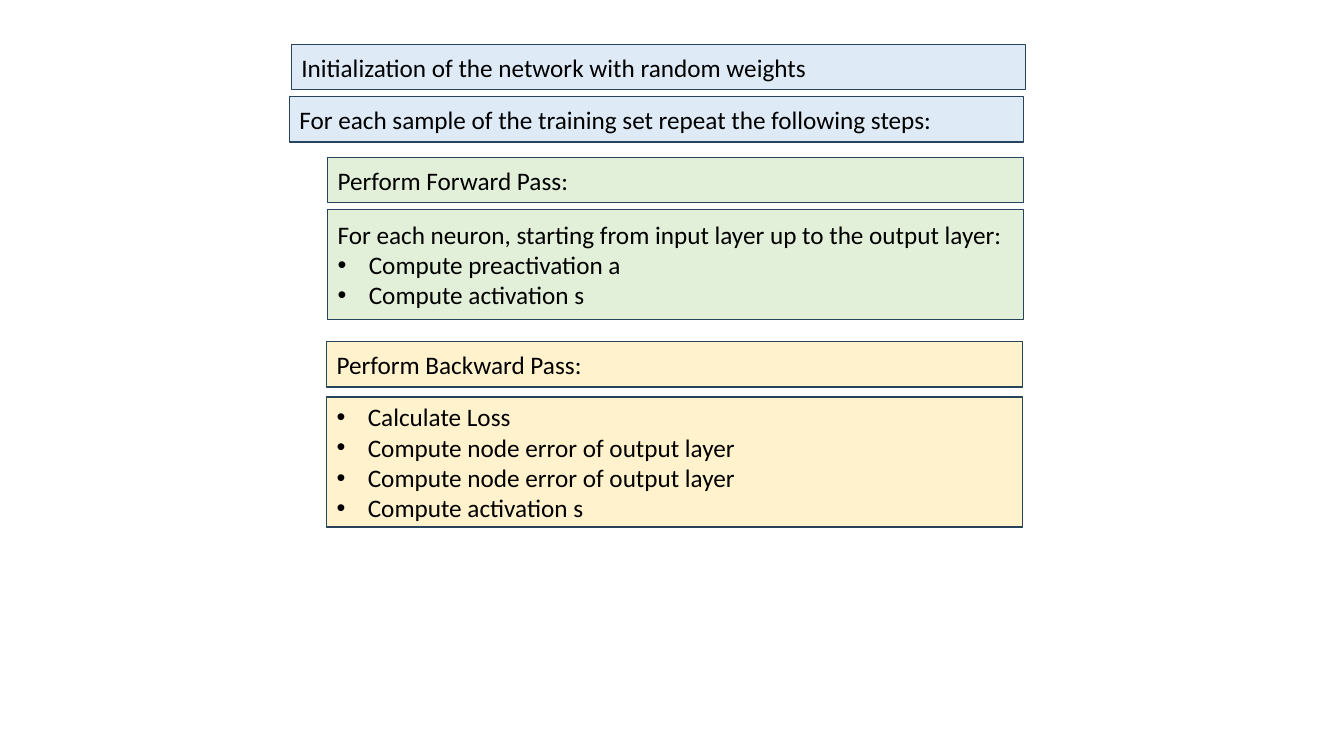
from dataclasses import dataclass

from lxml import etree
from pptx import Presentation
from pptx.dml.color import RGBColor
from pptx.enum.shapes import MSO_SHAPE
from pptx.enum.text import MSO_ANCHOR, PP_ALIGN
from pptx.oxml.ns import qn
from pptx.util import Inches, Pt

RECTANGLE = MSO_SHAPE.RECTANGLE
MIDDLE = MSO_ANCHOR.MIDDLE
LEFT = PP_ALIGN.LEFT

BLUE = RGBColor(0xDE, 0xEB, 0xF7)
GREEN = RGBColor(0xE2, 0xF0, 0xD9)
YELLOW = RGBColor(0xFF, 0xF2, 0xCC)
OUTLINE = RGBColor(0x28, 0x44, 0x5D)
BLACK = RGBColor(0, 0, 0)

FONT = "Calibri"
BLANK_LAYOUT = 6
OUTER_WIDTH = 7.28
INNER_WIDTH = 6.9
HEADING_HEIGHT = 0.45
BULLET_INDENT = Inches(0.31)


@dataclass(frozen=True)
class Step:
    left: float
    top: float
    width: float
    fill: RGBColor
    heading: str = ""
    bullets: tuple[str, ...] = ()
    height: float = HEADING_HEIGHT


STEPS = (
    Step(2.87, 0.96, OUTER_WIDTH, BLUE,
         "For each sample of the training set repeat the following steps:"),
    Step(3.25, 1.56, INNER_WIDTH, GREEN, "Perform Forward Pass:"),
    Step(3.25, 2.08, INNER_WIDTH, GREEN,
         "For each neuron, starting from input layer up to the output layer:",
         ("Compute preactivation a", "Compute activation s"), 1.09),
    Step(3.24, 3.39, INNER_WIDTH, YELLOW, "Perform Backward Pass:"),
    Step(3.24, 3.94, INNER_WIDTH, YELLOW,
         bullets=("Calculate Loss",
                  "Compute node error of output layer",
                  "Compute node error of output layer",
                  "Compute activation s"), height=1.29),
    Step(2.89, 0.44, OUTER_WIDTH, BLUE,
         "Initialization of the network with random weights"),
)


def add_bullet(para) -> None:
    properties = para._p.get_or_add_pPr()
    properties.set("marL", str(BULLET_INDENT))
    properties.set("indent", str(-BULLET_INDENT))
    etree.SubElement(properties, qn("a:buFont")).set("typeface", "Arial")
    etree.SubElement(properties, qn("a:buChar")).set("char", "•")


def add_step(page, step: Step) -> None:
    box = page.shapes.add_shape(RECTANGLE, Inches(step.left), Inches(step.top),
                                Inches(step.width), Inches(step.height))
    box.shadow.inherit = False
    box.fill.solid()
    box.fill.fore_color.rgb = step.fill
    box.line.color.rgb = OUTLINE
    box.line.width = Pt(1)

    frame = box.text_frame
    frame.word_wrap = True
    frame.vertical_anchor = MIDDLE
    headings = (step.heading,) if step.heading else ()
    for index, text in enumerate(headings + step.bullets):
        para = frame.add_paragraph() if index else frame.paragraphs[0]
        para.alignment = LEFT
        if index >= len(headings):
            add_bullet(para)
        span = para.add_run()
        span.text = text
        span.font.name = FONT
        span.font.size = Pt(18)
        span.font.color.rgb = BLACK


def main() -> None:
    deck = Presentation()
    deck.slide_width = Inches(13.33)
    deck.slide_height = Inches(7.5)
    page = deck.slides.add_slide(deck.slide_layouts[BLANK_LAYOUT])
    for step in STEPS:
        add_step(page, step)
    deck.save("out.pptx")


if __name__ == "__main__":
    main()
